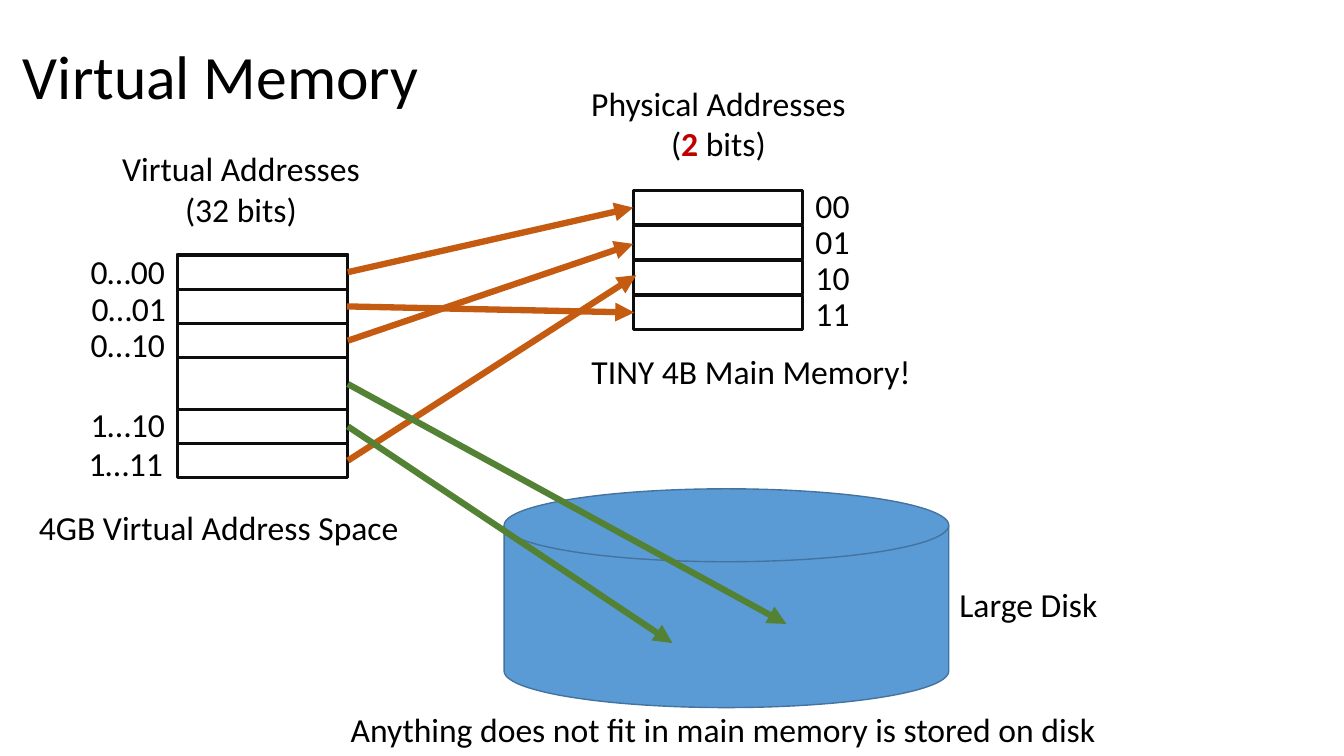
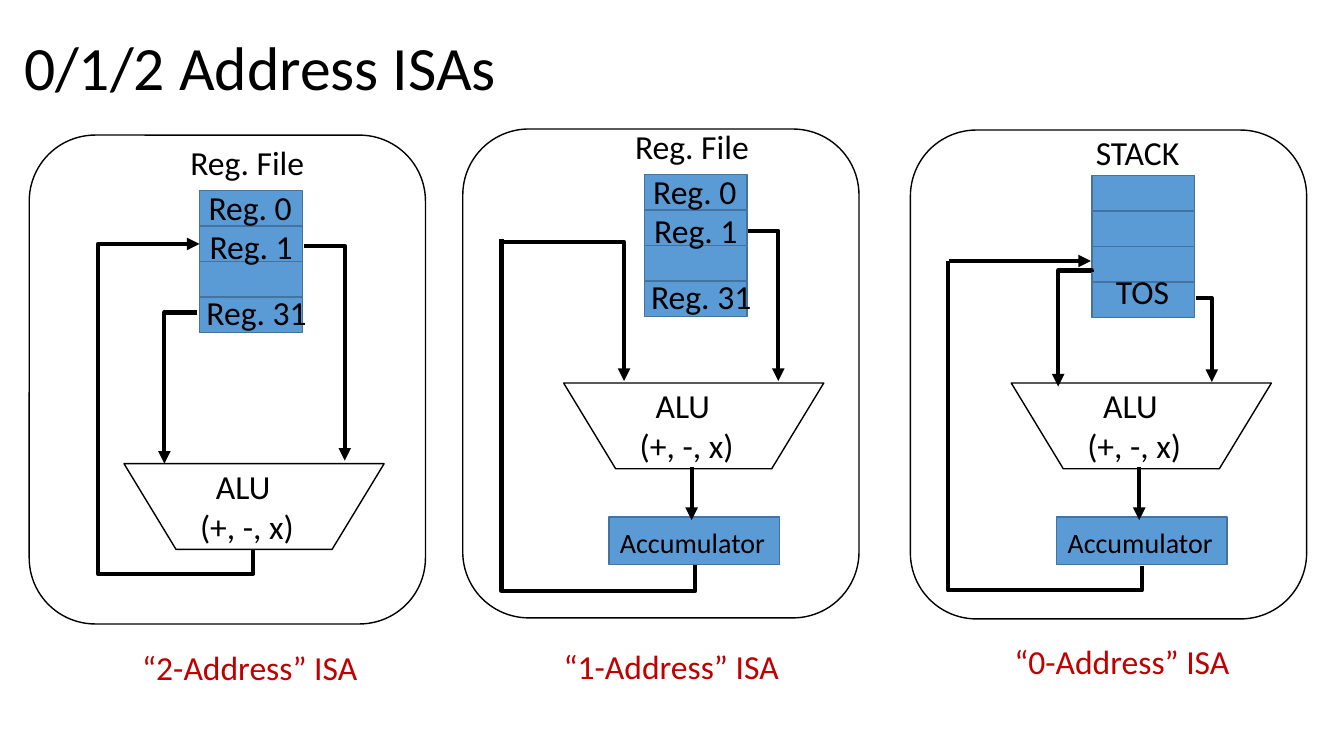
from lxml import etree
from pptx import Presentation
from pptx.dml.color import RGBColor
from pptx.enum import shapes, text
from pptx.oxml.ns import qn
from pptx.util import Inches, Pt

COLORS = {
    "ink": "000000", "cell": "0D0D0D", "red": "C00000", "blue": "5B9BD5",
    "edge": "43739E", "orange": "C55A11", "green": "548235",
}
FONT = "Calibri"
SHAPE = shapes.MSO_SHAPE
CENTER = text.PP_ALIGN.CENTER
LEFT = text.PP_ALIGN.LEFT


def draw_shape(slide, kind, box, fill, line, weight):
    shape = slide.shapes.add_shape(kind, *map(Inches, box))
    shape.shadow.inherit = False
    if fill:
        shape.fill.solid()
        shape.fill.fore_color.rgb = RGBColor.from_string(COLORS[fill])
    else:
        shape.fill.background()
    shape.line.color.rgb = RGBColor.from_string(COLORS[line])
    shape.line.width = Pt(weight)


def connect(slide, begin, end, color, weight, arrow=True, preset="line", turn=0, bends=()):
    """Join two points given before the turn (degrees); bends are the elbow's adjustments."""
    connector = slide.shapes.add_connector(
        shapes.MSO_CONNECTOR.STRAIGHT, *map(Inches, (*begin, *end)))
    connector.line.color.rgb = RGBColor.from_string(COLORS[color])
    connector.line.width = Pt(weight)
    properties = connector.element.spPr
    properties.find(qn("a:xfrm")).set("rot", str(turn * 60000))
    geometry = properties.find(qn("a:prstGeom"))
    geometry.set("prst", preset)
    for number, bend in enumerate(bends, 1):
        etree.SubElement(geometry.find(qn("a:avLst")), qn("a:gd"),
                         name=f"adj{number}", fmla=f"val {round(bend * 100000)}")
    if arrow:
        etree.SubElement(properties.find(qn("a:ln")), qn("a:tailEnd"), type="triangle")
    etree.SubElement(properties, qn("a:effectLst"))


deck = Presentation()
deck.slide_width, deck.slide_height = Inches(13.33), Inches(7.5)
memory, isas = [deck.slides.add_slide(deck.slide_layouts[6]) for _ in range(2)]

# Label styles: size, colour, alignment, wrap, anchor, line spacing
TITLE = (44, "ink", LEFT, True, text.MSO_ANCHOR.MIDDLE, 0.9)
PLAIN = (24, "ink", LEFT, False, text.MSO_ANCHOR.TOP, 1.0)
CENTERED = (24, "ink", CENTER, False, text.MSO_ANCHOR.TOP, 1.0)
CAPTION = (24, "red", CENTER, True, text.MSO_ANCHOR.TOP, 1.0)
SMALL = (20, "ink", LEFT, False, text.MSO_ANCHOR.TOP, 1.0)

# Each label: slide, box, wording (*...* is red and bold), style
labels = [
    (memory, (0.13, 0.06, 11.5, 1.45), "Virtual Memory", TITLE),
    (memory, (1.1, 1.42, 2.58, 0.91), "Virtual Addresses\n(32 bits)", CENTERED),
    (memory, (5.75, 0.77, 2.75, 0.91), "Physical Addresses\n(*2* bits)", CENTERED),
    (memory, (0.27, 4.98, 3.8, 0.5), "4GB Virtual Address Space", CENTERED),
    (memory, (5.75, 3.43, 3.4, 0.5), "TINY 4B Main Memory!", CENTERED),
    (memory, (9.41, 5.74, 1.58, 0.5), "Large Disk", CENTERED),
    (memory, (3.38, 6.98, 7.65, 0.5),
     "Anything does not fit in main memory is stored on disk", PLAIN),
    (isas, (0.14, -0.03, 11.5, 1.45), "0/1/2 Address ISAs", TITLE),
]

# Virtual Memory
draw_shape(memory, SHAPE.RECTANGLE, (1.76, 2.53, 1.69, 1.87), None, "cell", 2.25)
virtual_rows = [
    (2.53, 0.8, 2.44, "0…00"), (2.87, 0.81, 2.81, "0…01"), (3.21, 0.8, 3.16, "0…10"),
    (4.06, 0.8, 3.96, "1…10"), (4.4, 0.78, 4.34, "1…11"),
]
for cell_top, label_left, label_top, address in virtual_rows:
    draw_shape(memory, SHAPE.RECTANGLE, (1.76, cell_top, 1.69, 0.34), None, "cell", 2.25)
    labels.append((memory, (label_left, label_top, 0.95, 0.5), address, PLAIN))
for row, address in enumerate(("00", "01", "10", "11")):
    draw_shape(memory, SHAPE.RECTANGLE, (6.28, 1.89 + row * 1.04 / 3, 1.68, 0.34),
               None, "cell", 2.25)
    labels.append((memory, (7.99, 1.79 + row * 1.07 / 3, 0.54, 0.5), address, PLAIN))
draw_shape(memory, SHAPE.FLOWCHART_MAGNETIC_DISK, (5, 4.85, 4.41, 2.17), "blue", "edge", 1)

mappings = [
    ((3.45, 2.7), (6.28, 2.06), "orange"), ((3.44, 3.04), (6.29, 3.1), "orange"),
    ((3.45, 3.38), (6.28, 2.42), "orange"), ((3.45, 4.57), (6.31, 2.73), "orange"),
    ((3.45, 4.23), (6.67, 6.38), "green"), ((3.45, 3.81), (7.8, 6.19), "green"),
]
for begin, end, color in mappings:
    connect(memory, begin, end, color, 4.5)

# 0/1/2 Address ISAs; register labels are offset from the register block
register_file = [
    (-0.19, -0.53, 1.34, "Reg. File"), (-0.01, -0.08, 1.03, "Reg. 0"),
    (0, 0.3, 1.03, "Reg. 1"), (-0.03, 0.96, 1.2, "Reg. 31"),
]
stack = [(-0.06, -0.48, 1.04, "STACK"), (0.14, 0.9, 0.73, "TOS")]
machines = [
    {"frame": (0.29, 1.34), "block": (1.98, 1.89), "alu": (1.23, 4.6),
     "names": register_file, "accumulator": False,
     "caption": (-0.64, 6.37, "“2-Address” ISA ")},
    {"frame": (4.59, 1.28), "block": (6.39, 1.73), "alu": (5.59, 3.8),
     "names": register_file, "accumulator": True,
     "caption": (3.54, 6.36, "“1-Address” ISA ")},
    {"frame": (9.03, 1.29), "block": (10.83, 1.74), "alu": (10.03, 3.8),
     "names": stack, "accumulator": True,
     "caption": (8.01, 6.31, "“0-Address” ISA ")},
]
for machine in machines:
    draw_shape(isas, SHAPE.ROUNDED_RECTANGLE, (*machine["frame"], 3.93, 4.85), None, "ink", 1)
    block_left, block_top = machine["block"]
    for row in range(4):
        draw_shape(isas, SHAPE.RECTANGLE, (block_left, block_top + row * 1.06 / 3, 1.02, 0.35),
                   "blue", "edge", 1)
    for dx, dy, width, name in machine["names"]:
        labels.append((isas, (block_left + dx, block_top + dy, width, 0.5), name, PLAIN))
    alu_left, alu_top = machine["alu"]
    draw_shape(isas, SHAPE.FLOWCHART_MANUAL_OPERATION, (alu_left, alu_top, 2.58, 0.85),
               None, "ink", 1)
    labels.append((isas, (alu_left + 0.65, alu_top - 0.03, 1.14, 0.91),
                   "ALU \n(+, -, x)", CENTERED))
    if machine["accumulator"]:
        draw_shape(isas, SHAPE.RECTANGLE, (alu_left + 0.45, alu_top + 1.33, 1.69, 0.47),
                   "blue", "edge", 1)
        labels.append((isas, (alu_left + 0.46, alu_top + 1.36, 1.66, 0.44),
                       "Accumulator", SMALL))
        connect(isas, (alu_left + 1.27, alu_top + 0.83), (alu_left + 1.27, alu_top + 1.36),
                "ink", 3)
    caption_left, caption_top, caption = machine["caption"]
    labels.append((isas, (caption_left, caption_top, 6.31, 0.5), caption, CAPTION))

# Begin, end, arrow, preset, turn, bends
data_paths = [
    ((1.63, 4.6), (1.95, 3.1), True, "bentConnector2", 180, ()),
    ((3.02, 2.44), (3.42, 4.57), True, "bentConnector2", 0, ()),
    ((3.76, 3.67), (0.73, 4.2), True, "bentConnector4", 90, (-0.08, 2.9)),
    ((7.42, 2.29), (7.72, 3.78), True, "bentConnector2", 0, ()),
    ((7.55, 3.03), (4.32, 4.95), False, "bentConnector3", 90, (-0.08,)),
    ((6.26, 2.47), (4.88, 3.71), True, "bentConnector3", 270, (0,)),
    ((11.86, 2.96), (12.02, 3.79), True, "bentConnector2", 0, ()),
    ((11.88, 3.14), (8.85, 5.06), False, "bentConnector3", 90, (-0.08,)),
    ((10.09, 3.1), (11.23, 3.43), True, "bentConnector3", 90, (-0.01,)),
    ((9.41, 2.59), (10.82, 2.59), True, "line", 0, ()),
]
for begin, end, arrow, preset, turn, bends in data_paths:
    connect(isas, begin, end, "ink", 3, arrow, preset, turn, bends)

for slide, box, wording, (size, color, align, wrap, anchor, spacing) in labels:
    frame = slide.shapes.add_textbox(*map(Inches, box)).text_frame
    frame_format = {"word_wrap": wrap, "vertical_anchor": anchor}
    if size != 44:
        frame_format["auto_size"] = text.MSO_AUTO_SIZE.SHAPE_TO_FIT_TEXT
    for attribute, value in frame_format.items():
        setattr(frame, attribute, value)
    for index, line in enumerate(wording.split("\n")):
        paragraph = frame.add_paragraph() if index else frame.paragraphs[0]
        paragraph.alignment = align
        paragraph.line_spacing = spacing
        for part, words in enumerate(line.split("*")):
            run = paragraph.add_run()
            run.text = words
            marked = part % 2 == 1
            for attribute, value in {"name": FONT, "size": Pt(size), "bold": marked}.items():
                setattr(run.font, attribute, value)
            run.font.color.rgb = RGBColor.from_string(COLORS["red" if marked else color])

deck.save("out.pptx")
